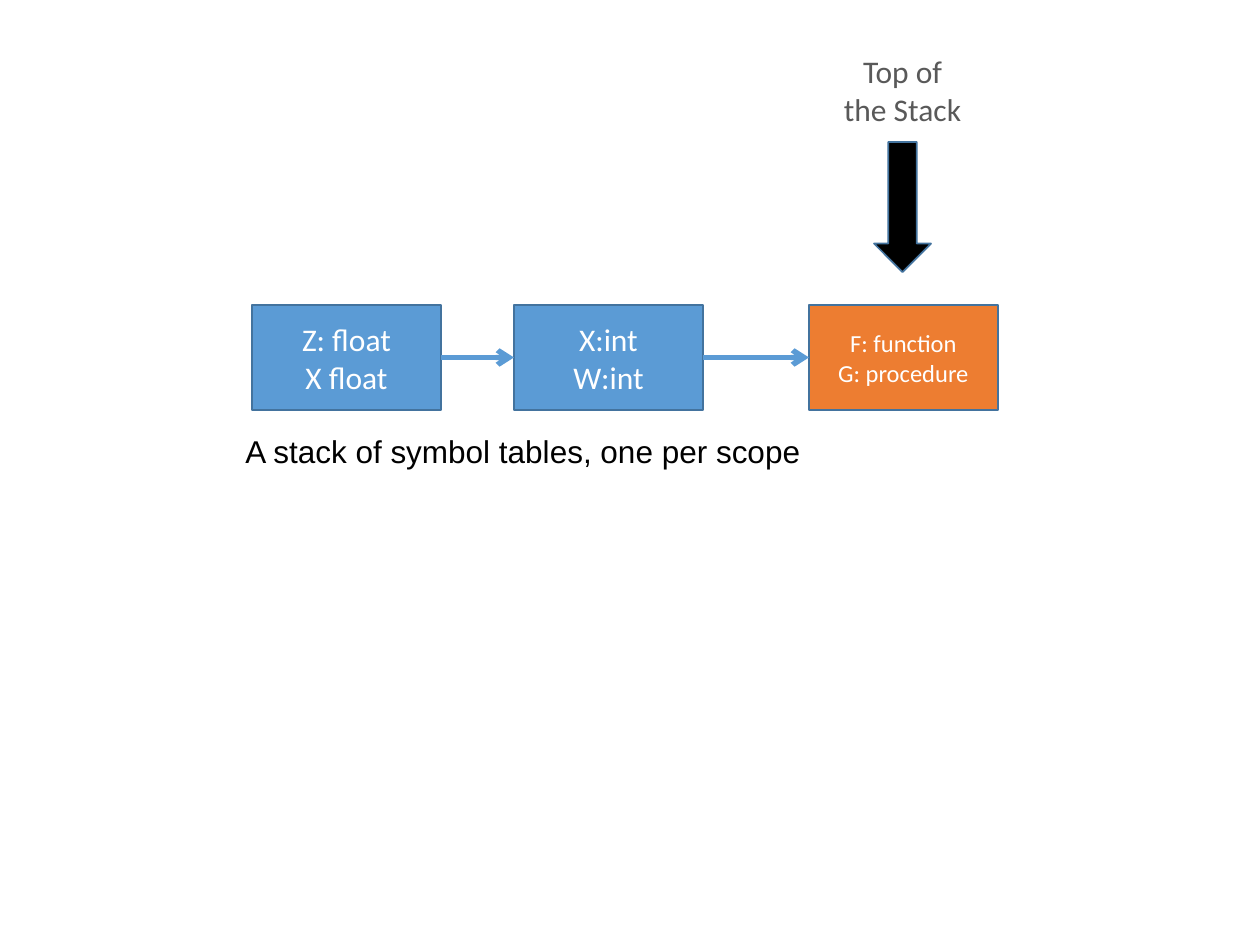
from lxml import etree
from pptx import Presentation, util as u
from pptx.dml.color import RGBColor
from pptx.enum import shapes, text
from pptx.oxml import ns

PX_PER_INCH = 126
WHITE = RGBColor(0xFF, 0xFF, 0xFF)
BLACK = RGBColor(0x00, 0x00, 0x00)
GRAY = RGBColor(0x59, 0x59, 0x59)
BLUE = RGBColor(0x5B, 0x9B, 0xD5)
DARK_BLUE = RGBColor(0x43, 0x73, 0x9E)
ORANGE = RGBColor(0xED, 0x7D, 0x31)

BOX_TOP, BOX_WIDTH, BOX_HEIGHT = 305, 189, 105
SCOPES = [
    (252, ["Z: float", "X float"], BLUE, 18),
    (514, ["X:int", "W:int"], BLUE, 18),
    (809, ["F: function", "G: procedure"], ORANGE, 14),
]


def px(length):
    return u.Emu(round(length * 914400 / PX_PER_INCH))


def write_text(box, lines, size=18, font="Calibri", color=WHITE,
               align=text.PP_ALIGN.CENTER, anchor=text.MSO_ANCHOR.MIDDLE):
    frame = box.text_frame
    frame.word_wrap = True
    frame.vertical_anchor = anchor
    for index, line in enumerate(lines):
        para = frame.paragraphs[0] if index == 0 else frame.add_paragraph()
        para.alignment = align
        span = para.add_run()
        span.text = line
        span.font.size = u.Pt(size)
        span.font.name = font
        span.font.color.rgb = color


def add_block(page, kind, left, top, width, height, fill, line=DARK_BLUE):
    block = page.shapes.add_shape(kind, px(left), px(top), px(width), px(height))
    block.shadow.inherit = False
    block.fill.solid()
    block.fill.fore_color.rgb = fill
    block.line.color.rgb = line
    block.line.width = u.Pt(1)
    return block


def add_link(page, source, target):
    """Join the right side of source to the left side of target by an arrow."""
    link = page.shapes.add_connector(shapes.MSO_CONNECTOR.STRAIGHT, 0, 0, 0, 0)
    link.begin_connect(source, 3)
    link.end_connect(target, 1)
    link.line.color.rgb = BLUE
    link.line.width = u.Pt(3)
    etree.SubElement(link.line._get_or_add_ln(), ns.qn("a:tailEnd"), type="arrow")
    etree.SubElement(link._element.spPr, ns.qn("a:effectLst"))


def main():
    deck = Presentation()
    deck.slide_width, deck.slide_height = px(1260), px(945)
    page = deck.slides.add_slide(deck.slide_layouts[6])
    rectangle = shapes.MSO_SHAPE.RECTANGLE

    tables = []
    for left, lines, fill, size in SCOPES:
        table = add_block(page, rectangle, left, BOX_TOP, BOX_WIDTH, BOX_HEIGHT, fill)
        write_text(table, lines, size=size)
        tables.append(table)
    for source, target in zip(tables, tables[1:]):
        add_link(page, source, target)

    caption = page.shapes.add_textbox(px(233), px(426), px(683), px(50))
    write_text(caption, ["A stack of symbol tables, one per scope"], font="Arial",
               color=BLACK, align=text.PP_ALIGN.LEFT, anchor=text.MSO_ANCHOR.TOP)

    label = add_block(page, rectangle, 829, 42, 147, 95, WHITE, line=WHITE)
    write_text(label, ["Top of the Stack"], color=GRAY)
    add_block(page, shapes.MSO_SHAPE.DOWN_ARROW, 874, 142, 57, 130, BLACK)

    deck.save("out.pptx")


if __name__ == "__main__":
    main()
